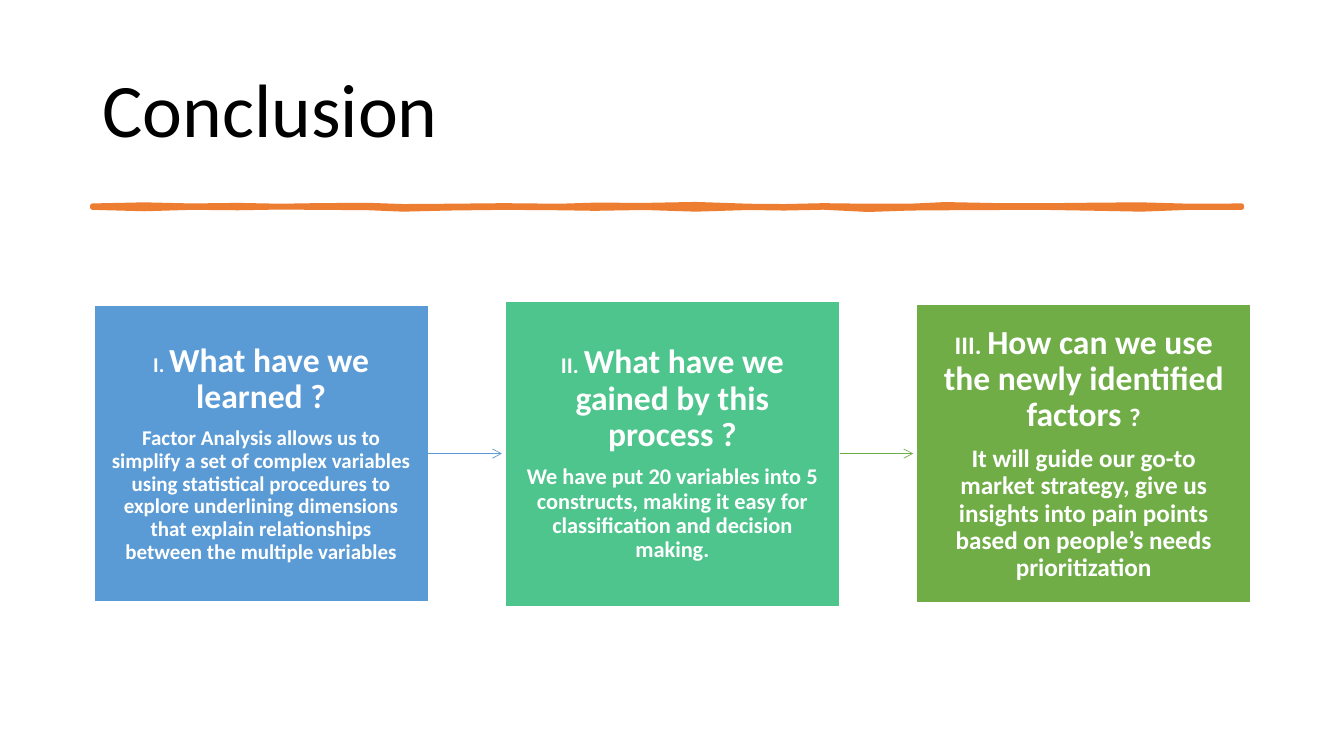
import pptx
import pptx.util
import pptx.dml.color
import pptx.enum.shapes
import pptx.enum.text
import pptx.oxml
import pptx.oxml.ns
from dataclasses import dataclass

Pt = pptx.util.Pt
Color = pptx.dml.color.RGBColor.from_string
Align = pptx.enum.text.PP_ALIGN
Anchor = pptx.enum.text.MSO_ANCHOR


@dataclass(frozen=True)
class Theme:
    font: str = "Calibri"
    ink: str = "000000"
    paper: str = "FFFFFF"
    accent: str = "ED7D31"
    blue: str = "5B9BD5"
    teal: str = "4DC58D"
    green: str = "70AD47"
    title_size: float = 54
    heading_size: float = 24
    line_spacing: float = 0.9
    space_share: float = 0.35


def apply(target, values):
    for name, value in values.items():
        setattr(target, name, value)


class PageBuilder:
    def __init__(self, page, theme):
        self.page = page
        self.theme = theme

    def fill_para(self, para, spans, color, bold, align):
        """Fill one paragraph with (text, size) spans."""
        largest = max(size for _, size in spans)
        apply(para, {"alignment": align,
                     "line_spacing": self.theme.line_spacing,
                     "space_after": Pt(round(largest * self.theme.space_share, 1))})
        for text, size in spans:
            span = para.add_run()
            span.text = text
            apply(span.font, {"name": self.theme.font, "size": Pt(size), "bold": bold})
            span.font.color.rgb = Color(color)

    def paint(self, shape, fill, line, width):
        shape.shadow.inherit = False
        shape.fill.solid()
        shape.fill.fore_color.rgb = Color(fill)
        shape.line.color.rgb = Color(line)
        shape.line.width = Pt(width)

    def title(self, text, left, top, width, height):
        box = self.page.shapes.title
        apply(box, {"left": Pt(left), "top": Pt(top), "width": Pt(width), "height": Pt(height)})
        apply(box.text_frame, {"vertical_anchor": Anchor.MIDDLE, "word_wrap": True,
                               "auto_size": pptx.enum.text.MSO_AUTO_SIZE.NONE})
        self.fill_para(box.text_frame.paragraphs[0], [(text, self.theme.title_size)],
                       self.theme.ink, False, Align.LEFT)

    def brush_stroke(self, stations):
        """Draw a closed outline through (x, top, bottom) stations."""
        upper = [(Pt(x), Pt(top)) for x, top, _ in stations]
        lower = [(Pt(x), Pt(bottom)) for x, _, bottom in reversed(stations)]
        builder = self.page.shapes.build_freeform(*upper[0])
        builder.add_line_segments(upper[1:] + lower, close=True)
        stroke = builder.convert_to_shape()
        self.paint(stroke, self.theme.accent, self.theme.accent, 3.25)
        stroke.line._get_or_add_ln().append(pptx.oxml.parse_xml(
            "<a:round %s/>" % pptx.oxml.ns.nsdecls("a")))

    def card(self, left, middle, width, height, fill, heading, body):
        box = self.page.shapes.add_shape(
            pptx.enum.shapes.MSO_SHAPE.RECTANGLE,
            Pt(left), Pt(middle - height / 2), Pt(width), Pt(height))
        self.paint(box, fill, self.theme.paper, 1)
        frame = box.text_frame
        apply(frame, {"word_wrap": True, "vertical_anchor": Anchor.MIDDLE,
                      "margin_left": Pt(11.5), "margin_right": Pt(11.5),
                      "margin_top": Pt(12.2), "margin_bottom": Pt(12.2)})
        for para, spans in ((frame.paragraphs[0], heading), (frame.add_paragraph(), body)):
            self.fill_para(para, spans, self.theme.paper, True, Align.CENTER)

    def arrow(self, start, end, middle, color):
        link = self.page.shapes.add_connector(
            pptx.enum.shapes.MSO_CONNECTOR.STRAIGHT,
            Pt(start), Pt(middle), Pt(end), Pt(middle))
        link.line.color.rgb = Color(color)
        link.line.width = Pt(0.5)
        names = pptx.oxml.ns.nsdecls("a")
        link.line._get_or_add_ln().append(
            pptx.oxml.parse_xml('<a:tailEnd %s type="arrow"/>' % names))
        link._element.spPr.append(pptx.oxml.parse_xml("<a:effectLst %s/>" % names))


def main():
    theme = Theme()
    deck = pptx.Presentation()
    apply(deck, {"slide_width": Pt(960), "slide_height": Pt(540)})
    page = deck.slides.add_slide(deck.slide_layouts[5])
    builder = PageBuilder(page, theme)

    # Title and the uneven rule below it
    builder.title("Conclusion", 66, 28.75, 828, 104.4)
    builder.brush_stroke([
        (66, 147, 148.3), (103, 146.2, 149.3), (137, 147, 148.3), (170, 146.6, 148.6),
        (200, 147.2, 148.1), (225, 146.8, 148.3), (262, 146.5, 148.5), (288, 147.4, 149.6),
        (320, 147.2, 148.8), (360, 146.8, 148.3), (400, 147.2, 148.6), (425, 146.4, 149),
        (460, 146.6, 148.4), (497, 145.9, 149.6), (535, 147.2, 148.4), (560, 147.4, 148.8),
        (588, 146.8, 148.2), (620, 147.2, 149.8), (650, 147.2, 148.8), (675, 146, 148.6),
        (715, 146.8, 148.4), (750, 146.8, 148.4), (785, 146.4, 149), (815, 146.2, 149.6),
        (850, 147.2, 148.3), (887, 147, 148.3)])

    # Three question cards joined by arrows
    left, middle, width, pitch = 67, 324, 239, 293.8
    cards = [
        (theme.blue, 211.7, 15, "I. ", "What have we learned ?", "",
         "Factor Analysis allows us to simplify a set of complex variables using "
         "statistical procedures to explore underlining dimensions that explain "
         "relationships between the multiple variables"),
        (theme.teal, 218.2, 16, "II. ", "What have we gained by this process ?", "",
         "We have put 20 variables into 5 constructs, making it easy for "
         "classification and decision making."),
        (theme.green, 213.8, 18, "III. ", "How can we use the newly identified factors ", "?",
         "It will guide our go-to market strategy, give us insights into pain points "
         "based on people’s needs prioritization"),
    ]
    for index, (fill, height, size, number, question, ending, answer) in enumerate(cards):
        heading = [(number, size), (question, theme.heading_size)]
        if ending:
            heading.append((ending, size))
        builder.card(left + index * pitch, middle, width, height, fill,
                     heading, [(answer, size)])
    for index, color in enumerate((theme.blue, theme.green)):
        start = left + width + index * pitch
        builder.arrow(start, start + 52.5, middle, color)

    deck.save("out.pptx")


if __name__ == "__main__":
    main()
